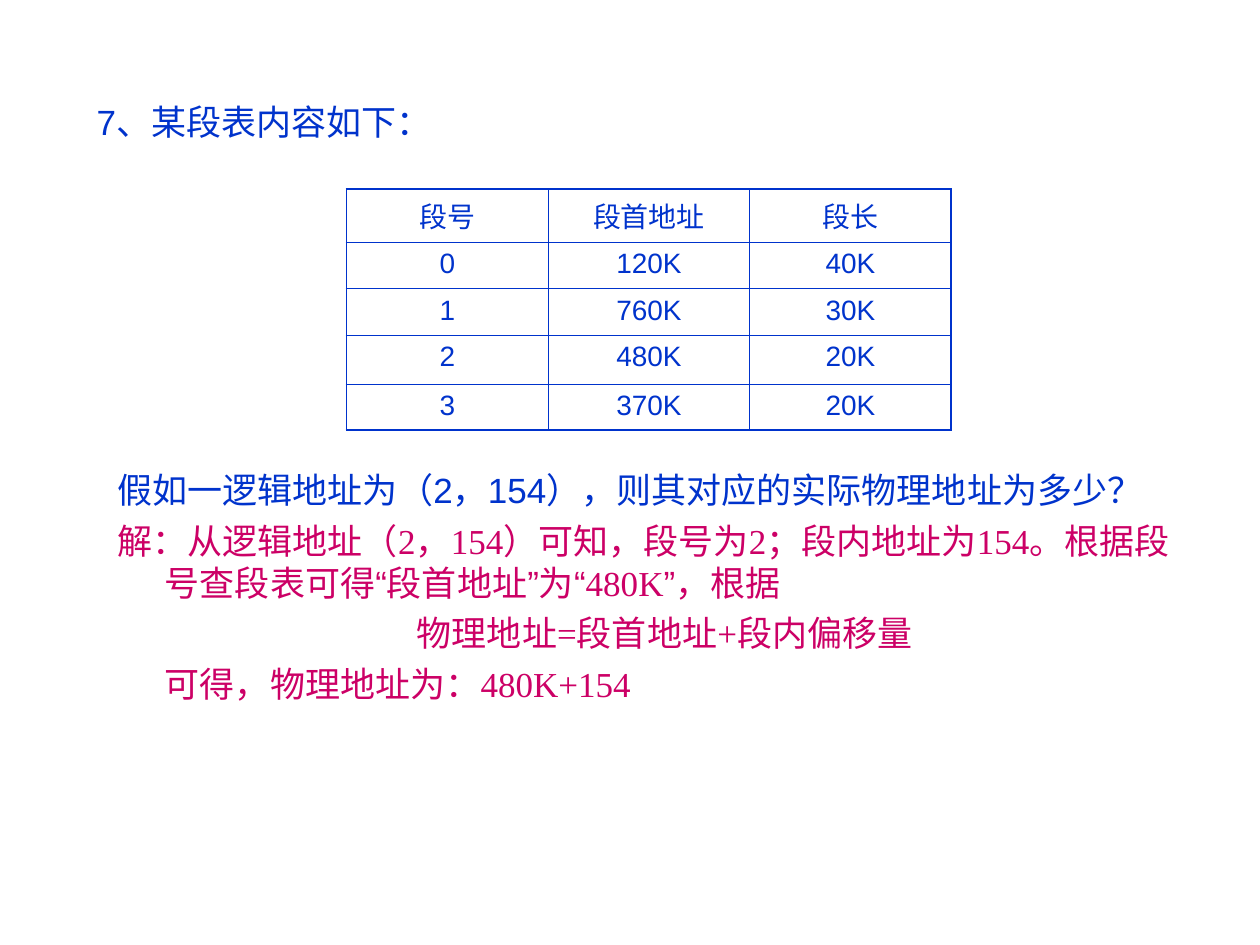
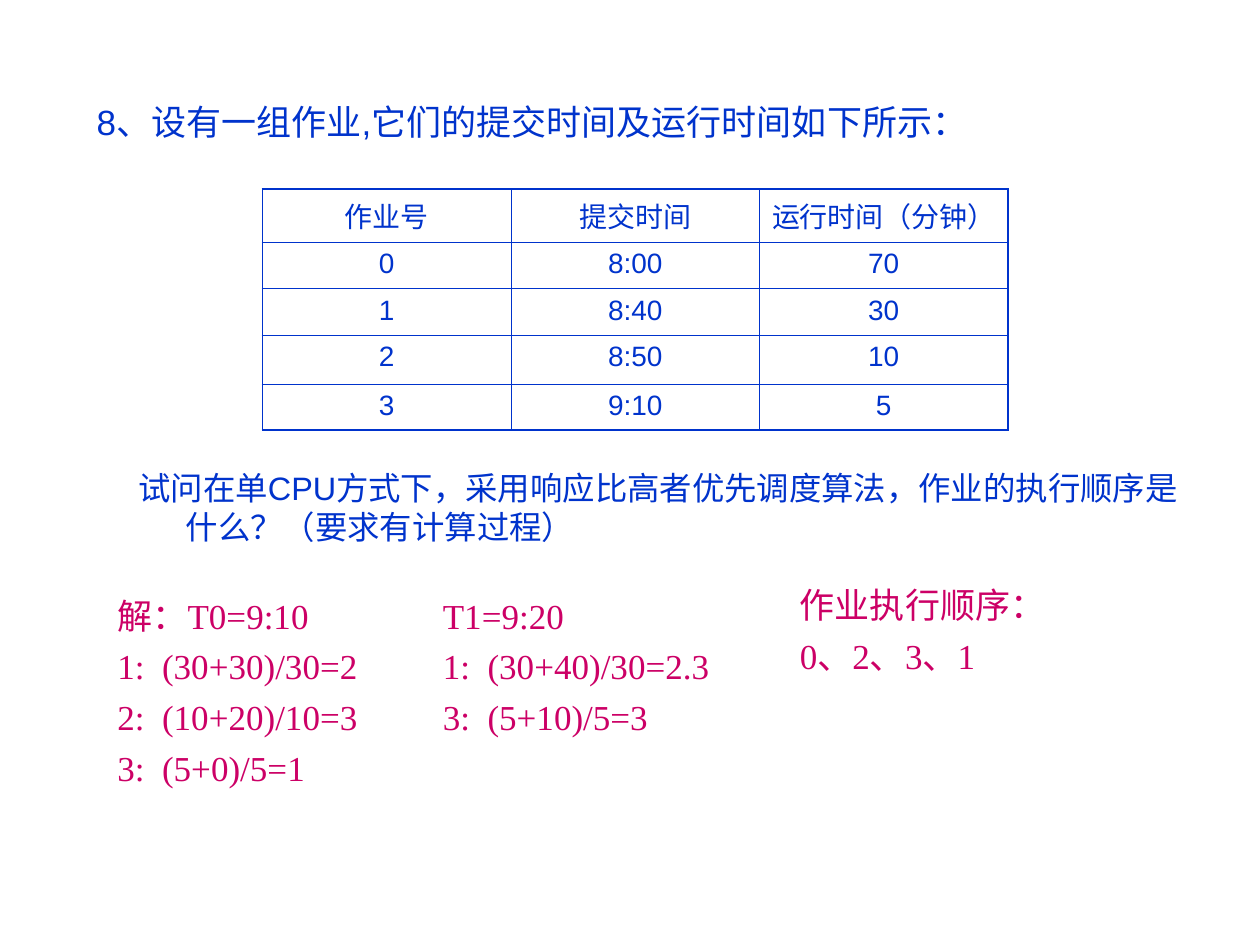
from dataclasses import dataclass

from lxml import etree
from pptx import Presentation
from pptx import util as u
from pptx.dml import color
from pptx.enum import text
from pptx.oxml import ns

Pt = u.Pt


@dataclass(frozen=True)
class Theme:
    blue: str = "0033CC"
    magenta: str = "CC0066"
    sans: str = "Arial"
    serif: str = "Times New Roman"
    size: float = 20
    small: float = 18.5
    cell: float = 16
    leading: float = 1.2
    gap: float = 5
    cell_margin: float = 6
    outer: float = 1.08
    inner: float = 0.45


T = Theme()
QUESTION = dict(name=T.sans, color=T.blue, size=T.size, east=T.sans)
LONG_QUESTION = dict(QUESTION, size=T.small)
ANSWER = dict(name=T.serif, color=T.magenta, size=T.size, east=T.sans)
# Full-width quotation marks come from the default East Asian font
QUOTED = dict(ANSWER, east=None)
CELL = dict(name=T.sans, color=T.blue, size=T.cell)

# Indents: (left margin, first line)
HANG, INSET, FORMULA, CALC = (27, -27), (27, 0), (171, 0), (25.5, -25.5)

# Content: boxes are left, top, width, height; lines are text, format, indent
TITLE_BOX = (48, 54, 654, 42)
TABLE_TOP = 108
ROW_HEIGHTS = (30.4, 26.6, 26.6, 28, 26.3)

SLIDES = [
    dict(
        title="7、某段表内容如下：",
        table_left=198, column=115.2,
        rows=[("段号", "段首地址", "段长"),
              ("0", "120K", "40K"),
              ("1", "760K", "30K"),
              ("2", "480K", "20K"),
              ("3", "370K", "20K")],
        body=((60, 264, 618, 198), [
            ("假如一逻辑地址为（2，154），则其对应的实际物理地址为多少？", QUESTION, HANG),
            ("解：从逻辑地址（2，154）可知，段号为2；段内地址为154。"
             "根据段号查段表可得“段首地址”为“480K”，根据", QUOTED, HANG),
            ("物理地址=段首地址+段内偏移量", ANSWER, FORMULA),
            ("可得，物理地址为：480K+154", ANSWER, INSET)]),
        answers=[],
    ),
    dict(
        title="8、设有一组作业,它们的提交时间及运行时间如下所示：",
        table_left=150, column=142,
        rows=[("作业号", "提交时间", "运行时间（分钟）"),
              ("0", "8:00", "70"),
              ("1", "8:40", "30"),
              ("2", "8:50", "10"),
              ("3", "9:10", "5")],
        body=((72, 264, 618, 54), [
            ("试问在单CPU方式下，采用响应比高者优先调度算法，"
             "作业的执行顺序是什么？（要求有计算过程）", LONG_QUESTION, HANG)]),
        answers=[
            ((60, 336, 168, 168), [
                ("解：T0=9:10", ANSWER, CALC),
                ("1:\t(30+30)/30=2", ANSWER, CALC),
                ("2:\t(10+20)/10=3", ANSWER, CALC),
                ("3:\t(5+0)/5=1", ANSWER, CALC)]),
            ((246, 336, 168, 168), [
                ("T1=9:20", ANSWER, CALC),
                ("1:\t(30+40)/30=2.3", ANSWER, CALC),
                ("3:\t(5+10)/5=3", ANSWER, CALC)]),
            ((450, 330, 168, 168), [
                ("作业执行顺序：", ANSWER, HANG),
                ("0、2、3、1", ANSWER, HANG)])],
    ),
]


# Text
def add_run(p, words, style):
    r = p.add_run()
    r.text = words
    formats = dict(name=style["name"], size=Pt(style["size"]), bold=False)
    for key, value in formats.items():
        setattr(r.font, key, value)
    r.font.color.rgb = color.RGBColor.from_string(style["color"])
    if style.get("east"):
        east = etree.SubElement(r.font._element, ns.qn("a:ea"))
        east.set("typeface", style["east"])


def write_lines(sp, box, lines):
    for key, value in zip(("left", "top", "width", "height"), box):
        setattr(sp, key, Pt(value))
    tf = sp.text_frame
    formats = dict(word_wrap=True, auto_size=text.MSO_AUTO_SIZE.NONE,
                   vertical_anchor=text.MSO_ANCHOR.TOP)
    for key, value in formats.items():
        setattr(tf, key, value)
    for i, (words, style, (margin, first)) in enumerate(lines):
        p = tf.paragraphs[0] if i == 0 else tf.add_paragraph()
        pr = p._p.get_or_add_pPr()
        layout = dict(marL=Pt(margin), indent=Pt(first), hangingPunct=0)
        for key, value in layout.items():
            pr.set(key, str(value))
        etree.SubElement(pr, ns.qn("a:buNone"))
        formats = dict(alignment=text.PP_ALIGN.LEFT,
                       line_spacing=Pt(style["size"] * T.leading),
                       space_before=Pt(T.gap if i else 0), space_after=Pt(0))
        for key, value in formats.items():
            setattr(p, key, value)
        add_run(p, words, style)


# Table
def set_borders(cell, widths):
    pr = cell._tc.get_or_add_tcPr()
    for side, width in widths.items():
        line = etree.SubElement(pr, ns.qn("a:" + side), w=str(Pt(width)))
        fill = etree.SubElement(line, ns.qn("a:solidFill"))
        etree.SubElement(fill, ns.qn("a:srgbClr"), val=T.blue)


def add_grid(s, left, column, rows):
    count, columns = len(rows), len(rows[0])
    frame = s.shapes.add_table(count, columns, Pt(left), Pt(TABLE_TOP),
                               Pt(column * columns), Pt(sum(ROW_HEIGHTS)))
    table = frame.table
    table.first_row = table.horz_banding = False
    for col in table.columns:
        col.width = Pt(column)
    for i, (values, height) in enumerate(zip(rows, ROW_HEIGHTS)):
        table.rows[i].height = Pt(height)
        for j, value in enumerate(values):
            cell = table.cell(i, j)
            cell.margin_left = cell.margin_right = Pt(T.cell_margin)
            p = cell.text_frame.paragraphs[0]
            p.alignment = text.PP_ALIGN.CENTER
            add_run(p, value, CELL)
            edges = dict(lnL=j == 0, lnR=j == columns - 1,
                         lnT=i == 0, lnB=i == count - 1)
            set_borders(cell, {side: T.outer if edge else T.inner
                               for side, edge in edges.items()})
            cell.fill.background()


# Slides
def main():
    prs = Presentation()
    prs.slide_width, prs.slide_height = Pt(720), Pt(540)
    for page in SLIDES:
        s = prs.slides.add_slide(prs.slide_layouts[1])
        write_lines(s.shapes.title, TITLE_BOX, [(page["title"], QUESTION, HANG)])
        add_grid(s, page["table_left"], page["column"], page["rows"])
        write_lines(s.placeholders[1], *page["body"])
        for box, lines in page["answers"]:
            sp = s.shapes.add_textbox(*(Pt(v) for v in box))
            write_lines(sp, box, lines)
    prs.save("out.pptx")


if __name__ == "__main__":
    main()
